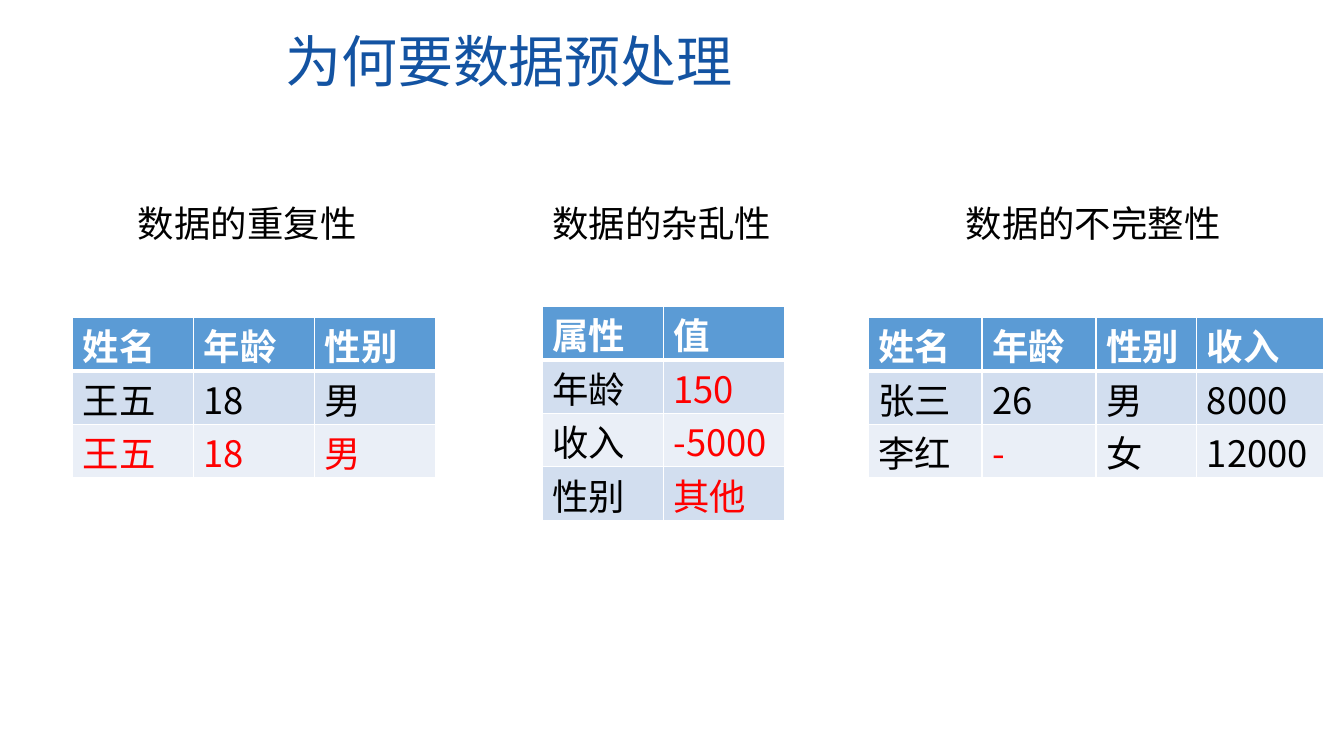
from lxml import etree
from pptx import Presentation
from pptx.dml.color import RGBColor
from pptx.oxml.ns import qn
from pptx.util import Inches, Pt

FONT = "Noto Sans CJK SC"
COLORS = {
    "title": "1353A2",
    "text": "000000",
    "alert": "FF0000",
    "white": "FFFFFF",
    "header": "5B9BD5",
    "odd": "D2DEEF",
    "even": "EAEFF7",
}
ROW_HEIGHT = 0.53


def write(frame, text, size=26, color="text", bold=False, spacing=None):
    paragraph = frame.paragraphs[0]
    paragraph.line_spacing = spacing
    run = paragraph.add_run()
    run.text = text
    font = run.font
    font.name, font.size, font.bold = FONT, Pt(size), bold
    font.color.rgb = RGBColor.from_string(COLORS[color])
    east_asian = etree.SubElement(run._r.get_or_add_rPr(), qn("a:ea"))
    east_asian.set("typeface", FONT)


def add_label(slide, text, left, top, width, height, **text_format):
    box = slide.shapes.add_textbox(
        Inches(left), Inches(top), Inches(width), Inches(height))
    box.text_frame.word_wrap = True
    write(box.text_frame, text, spacing=0.9, **text_format)


def set_borders(cell, **widths):
    """Draw white borders; widths are points by side tag."""
    properties = cell._tc.get_or_add_tcPr()
    for index, (side, width) in enumerate(widths.items()):
        line = etree.Element(qn(f"a:{side}"), w=str(Pt(width)))
        fill = etree.SubElement(line, qn("a:solidFill"))
        etree.SubElement(fill, qn("a:srgbClr"), val=COLORS["white"])
        properties.insert(index, line)


def add_data_table(slide, rows, alerts, left, top, widths):
    """Add a banded table; alerts holds the (row, column) of red cells."""
    table = slide.shapes.add_table(
        len(rows), len(widths), Inches(left), Inches(top),
        Inches(sum(widths)), Inches(ROW_HEIGHT * len(rows))).table
    for column, width in zip(table.columns, widths):
        column.width = Inches(width)
    for r, values in enumerate(rows):
        table.rows[r].height = Inches(ROW_HEIGHT)
        is_header = r == 0
        band = "header" if is_header else "odd" if r % 2 else "even"
        for c, value in enumerate(values):
            cell = table.cell(r, c)
            cell.margin_top, cell.margin_bottom = Inches(0.01), 0
            cell.fill.solid()
            cell.fill.fore_color.rgb = RGBColor.from_string(COLORS[band])
            set_borders(cell, lnL=1, lnR=1, lnT=3 if r == 1 else 1,
                        lnB=3 if is_header else 1)
            color = "white" if is_header else "alert" if (r, c) in alerts else "text"
            write(cell.text_frame, value, color=color, bold=is_header)


def add_problem(slide, problem):
    """Add one data problem: its heading and its example table."""
    left, width = problem["heading_box"]
    add_label(slide, problem["heading"], left, 2, width, 0.54)
    add_data_table(slide, problem["rows"], problem["alerts"],
                   *problem["table_at"], problem["widths"])


PROBLEMS = [
    {
        "heading": "数据的重复性", "heading_box": (1.27, 2.48),
        "table_at": (0.72, 3.15), "widths": [1.2] * 3,
        "rows": [["姓名", "年龄", "性别"], ["王五", "18", "男"], ["王五", "18", "男"]],
        "alerts": {(2, 0), (2, 1), (2, 2)},
    },
    {
        "heading": "数据的杂乱性", "heading_box": (5.38, 2.48),
        "table_at": (5.38, 3.04), "widths": [1.2] * 2,
        "rows": [["属性", "值"], ["年龄", "150"], ["收入", "-5000"], ["性别", "其他"]],
        "alerts": {(1, 1), (2, 1), (3, 1)},
    },
    {
        "heading": "数据的不完整性", "heading_box": (9.48, 2.86),
        "table_at": (8.61, 3.15), "widths": [1.13, 1.13, 1, 1.26],
        "rows": [["姓名", "年龄", "性别", "收入"],
                 ["张三", "26", "男", "8000"],
                 ["李红", "-", "女", "12000"]],
        "alerts": {(2, 1)},
    },
]


def main():
    presentation = Presentation()
    presentation.slide_width = Inches(13.33)
    presentation.slide_height = Inches(7.5)
    slide = presentation.slides.add_slide(presentation.slide_layouts[6])
    add_label(slide, "为何要数据预处理", 2.73, 0.29, 5.88, 0.77, size=40, color="title")
    for problem in PROBLEMS:
        add_problem(slide, problem)
    presentation.save("out.pptx")


if __name__ == "__main__":
    main()
